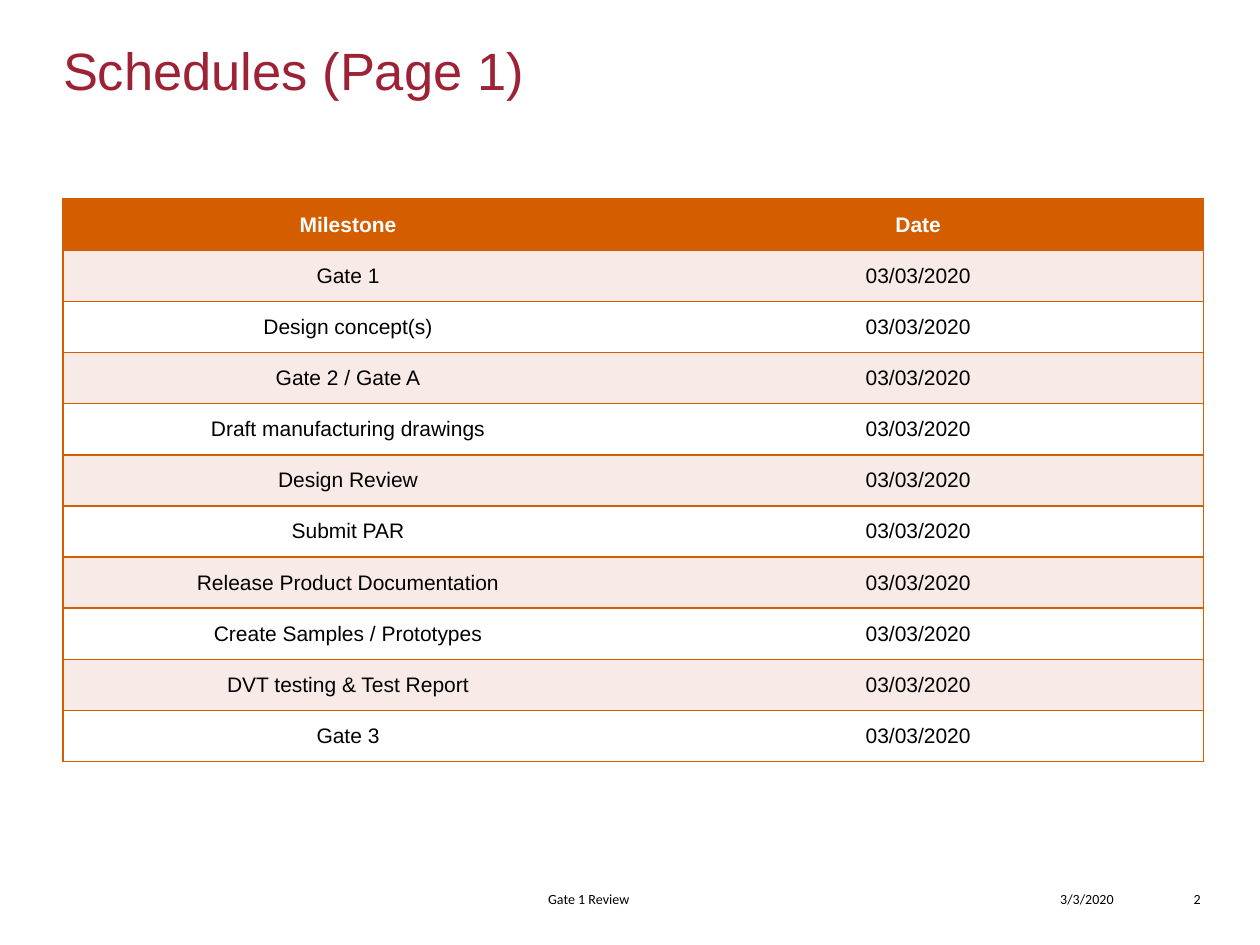
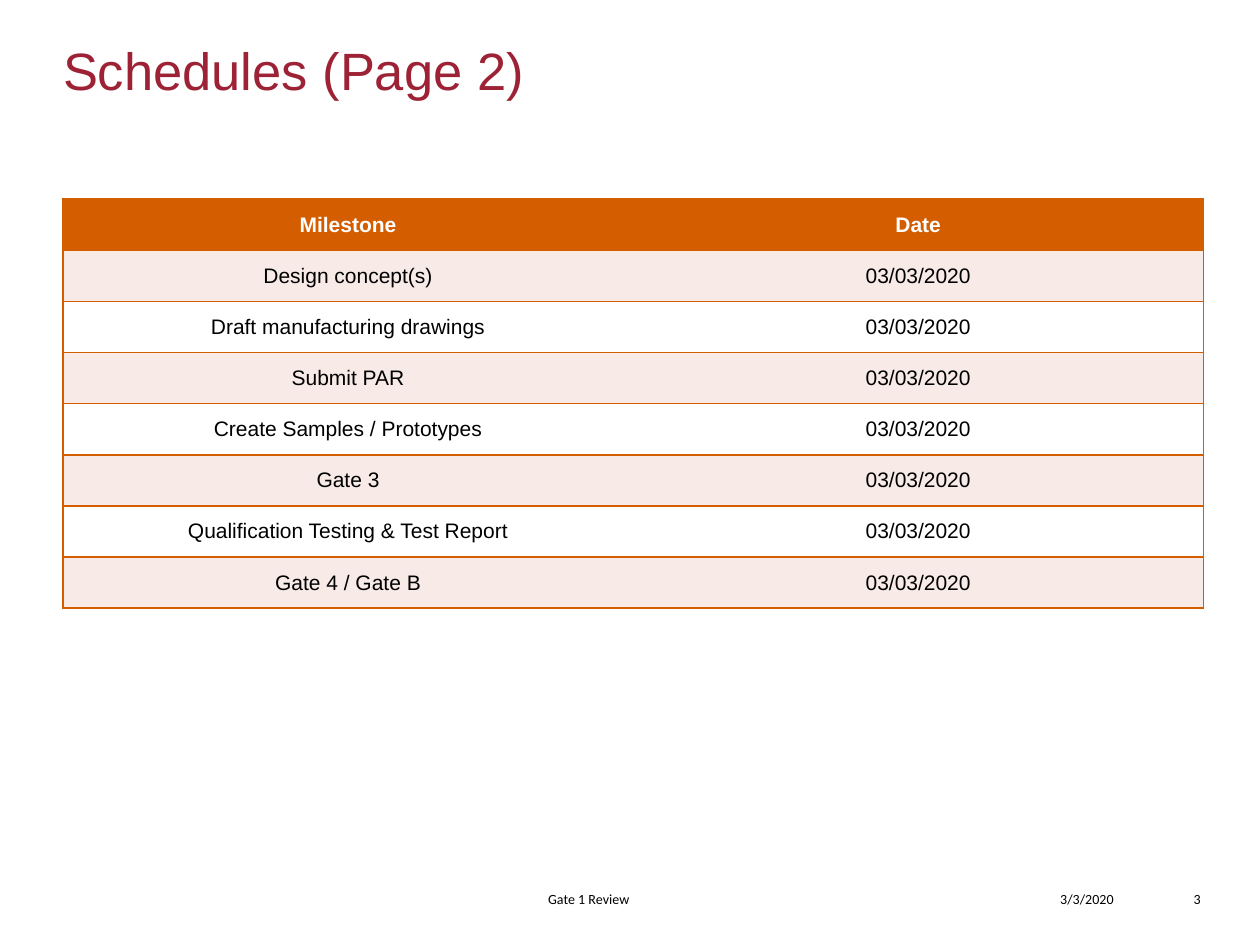
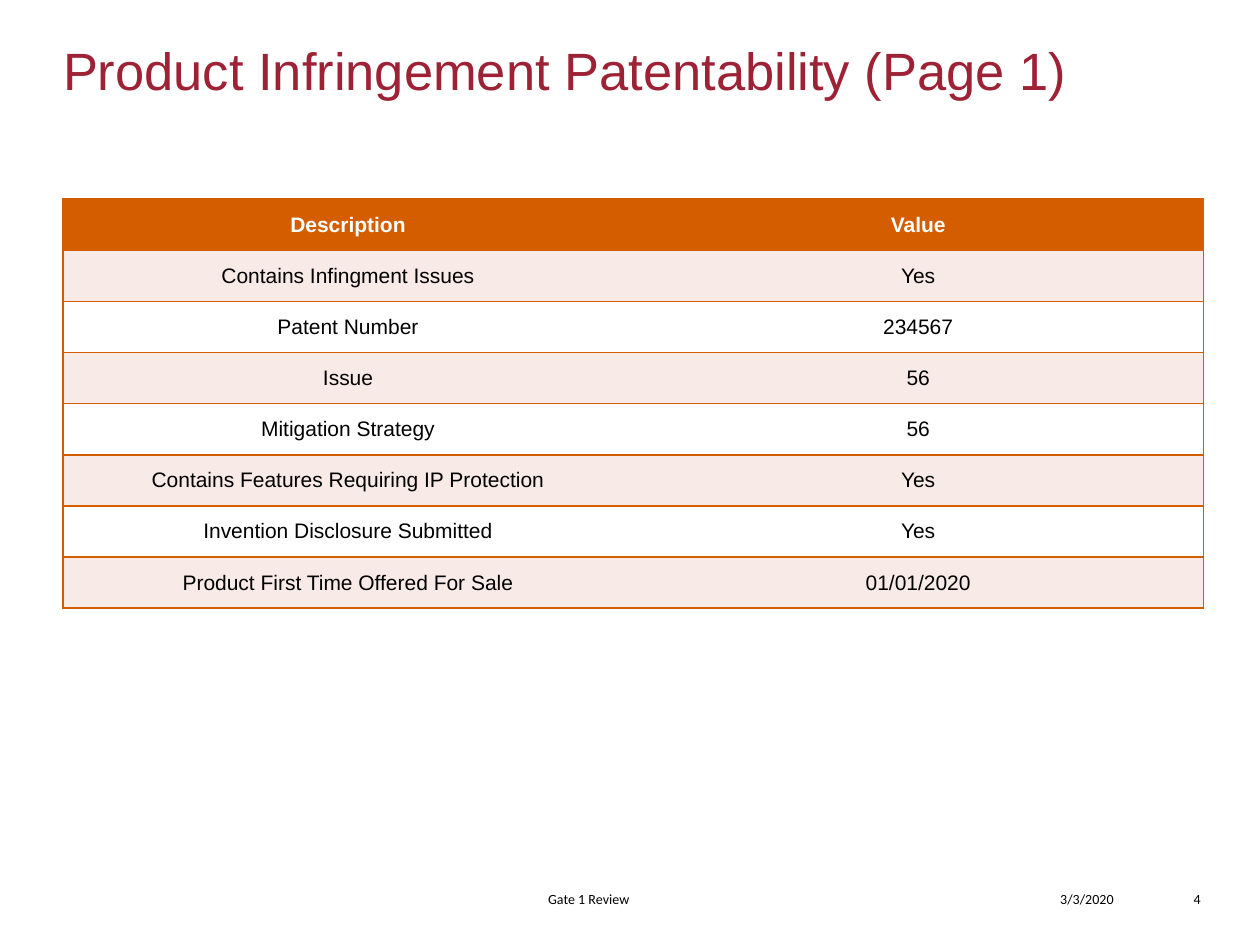
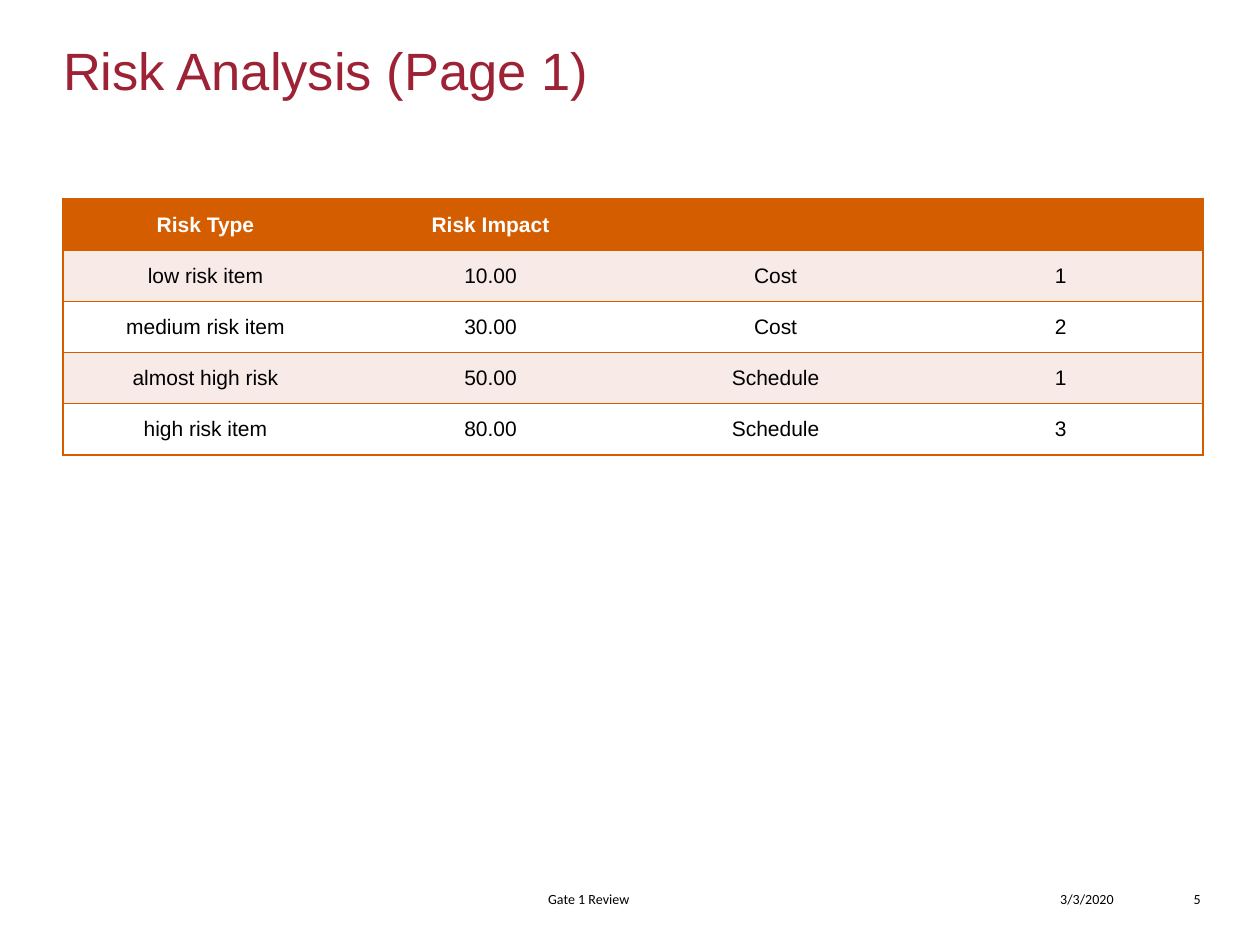
import pptx
import pptx.dml.color
import pptx.enum.text
import pptx.oxml
import pptx.oxml.ns
import pptx.util

# Shared style
RGBColor = pptx.dml.color.RGBColor
CRIMSON = RGBColor(0x9D, 0x22, 0x35)
ORANGE = RGBColor(0xD4, 0x5D, 0x00)
BLUSH = RGBColor(0xF7, 0xEA, 0xE7)
WHITE = RGBColor(0xFF, 0xFF, 0xFF)
BLACK = RGBColor(0x00, 0x00, 0x00)

ALIGN = pptx.enum.text.PP_ALIGN
ANCHOR = pptx.enum.text.MSO_ANCHOR
HEADING_FONT, FOOTER_FONT = "Arial", "Calibri"

# Grid of 200 columns by 150 rows over a 10 by 7.5 inch slide
GRID_COLUMNS, GRID_ROWS = 200, 150
LEFT, WIDTH = 10, 181
TABLE_TOP, LINE_HEIGHT = 31.6, 8.12
FOOTER_TOP, FOOTER_HEIGHT = 138.8, 5.2


class Deck:
    def __init__(self):
        self.file = pptx.Presentation()
        self.file.slide_width = pptx.util.Inches(10)
        self.file.slide_height = pptx.util.Inches(7.5)
        self.slide = None

    def x(self, columns):
        return round(self.file.slide_width * columns / GRID_COLUMNS)

    def y(self, rows):
        return round(self.file.slide_height * rows / GRID_ROWS)

    def add_slide(self):
        self.slide = self.file.slides.add_slide(self.file.slide_layouts[6])
        background = self.slide.background.fill
        background.solid()
        background.fore_color.rgb = WHITE

    def add_words(self, paragraph, text, font, size, color, align, bold=False):
        paragraph.alignment = align
        run = paragraph.add_run()
        run.text = text
        run.font.name = font
        run.font.size = pptx.util.Pt(size)
        run.font.bold = bold
        run.font.color.rgb = color

    def text(self, text, left, top, width, height, font, size, color,
             align=ALIGN.LEFT, anchor=ANCHOR.TOP, indent=0):
        box = self.slide.shapes.add_textbox(
            self.x(left), self.y(top), self.x(width), self.y(height))
        frame = box.text_frame
        frame.word_wrap = True
        frame.vertical_anchor = anchor
        frame.margin_left = self.x(indent)
        frame.margin_right = frame.margin_top = frame.margin_bottom = 0
        self.add_words(frame.paragraphs[0], text, font, size, color, align)

    def title(self, text):
        self.text(text, LEFT, 6, WIDTH, 21.4, HEADING_FONT, 30, CRIMSON)

    def footer(self, number):
        for text, left, width, align, indent in (
                (str(number), 183.2, 7.4, ALIGN.RIGHT, 0),
                ("3/3/2020", 148, 28.8, ALIGN.RIGHT, 0),
                ("Gate 1 Review", 62, 72.6, ALIGN.LEFT, 25)):
            self.text(text, left, FOOTER_TOP, width, FOOTER_HEIGHT,
                      FOOTER_FONT, 8, BLACK, align, ANCHOR.BOTTOM, indent)

    def borders(self, cell, sides):
        """Draw the named sides in orange and clear the others."""
        properties = cell._tc.get_or_add_tcPr()
        for position, side in enumerate("LRTB"):
            paint = (f'<a:solidFill><a:srgbClr val="{ORANGE}"/></a:solidFill>'
                     if side in sides else "<a:noFill/>")
            properties.insert(position, pptx.oxml.parse_xml(
                f'<a:ln{side} {pptx.oxml.ns.nsdecls("a")} '
                f'w="{pptx.util.Pt(1)}">{paint}</a:ln{side}>'))

    def table(self, records):
        columns = len(records[0])
        table = self.slide.shapes.add_table(
            len(records), columns, self.x(LEFT), self.y(TABLE_TOP),
            self.x(WIDTH), self.y(LINE_HEIGHT * len(records))).table
        table.first_row = table.horz_banding = False
        for line, record in enumerate(records):
            table.rows[line].height = self.y(LINE_HEIGHT)
            header = line == 0
            fill = ORANGE if header else (WHITE, BLUSH)[line % 2]
            for column, text in enumerate(record):
                cell = table.cell(line, column)
                cell.vertical_anchor = ANCHOR.MIDDLE
                cell.fill.solid()
                cell.fill.fore_color.rgb = fill
                sides = "TB"
                if column == 0:
                    sides += "L"
                if column == columns - 1:
                    sides += "R"
                self.borders(cell, sides)
                paragraph = cell.text_frame.paragraphs[0]
                if text:
                    self.add_words(paragraph, text, HEADING_FONT, 12,
                                   WHITE if header else BLACK, ALIGN.CENTER, header)
                else:
                    # Keep an empty cell from stretching its row
                    paragraph._p.get_or_add_endParaRPr().set("sz", "1200")


# Content
def schedule(*milestones):
    return [("Milestone", "Date")] + [(name, "03/03/2020") for name in milestones]


PAGES = [
    ("Schedules (Page 1)", schedule(
        "Gate 1", "Design concept(s)", "Gate 2 / Gate A",
        "Draft manufacturing drawings", "Design Review", "Submit PAR",
        "Release Product Documentation", "Create Samples / Prototypes",
        "DVT testing & Test Report", "Gate 3")),
    ("Schedules (Page 2)", schedule(
        "Design concept(s)", "Draft manufacturing drawings", "Submit PAR",
        "Create Samples / Prototypes", "Gate 3",
        "Qualification Testing & Test Report", "Gate 4 / Gate B")),
    ("Product Infringement Patentability (Page 1)", [
        ("Description", "Value"),
        ("Contains Infingment Issues", "Yes"),
        ("Patent Number", "234567"),
        ("Issue", "56"),
        ("Mitigation Strategy", "56"),
        ("Contains Features Requiring IP Protection", "Yes"),
        ("Invention Disclosure Submitted", "Yes"),
        ("Product First Time Offered For Sale", "01/01/2020")]),
    ("Risk Analysis (Page 1)", [
        ("Risk Type", "Risk Impact", "", ""),
        ("low risk item", "10.00", "Cost", "1"),
        ("medium risk item", "30.00", "Cost", "2"),
        ("almost high risk", "50.00", "Schedule", "1"),
        ("high risk item", "80.00", "Schedule", "3")]),
]


def main():
    deck = Deck()
    for number, (title, records) in enumerate(PAGES, start=2):
        deck.add_slide()
        deck.title(title)
        deck.table(records)
        deck.footer(number)
    deck.file.save("out.pptx")


if __name__ == "__main__":
    main()
